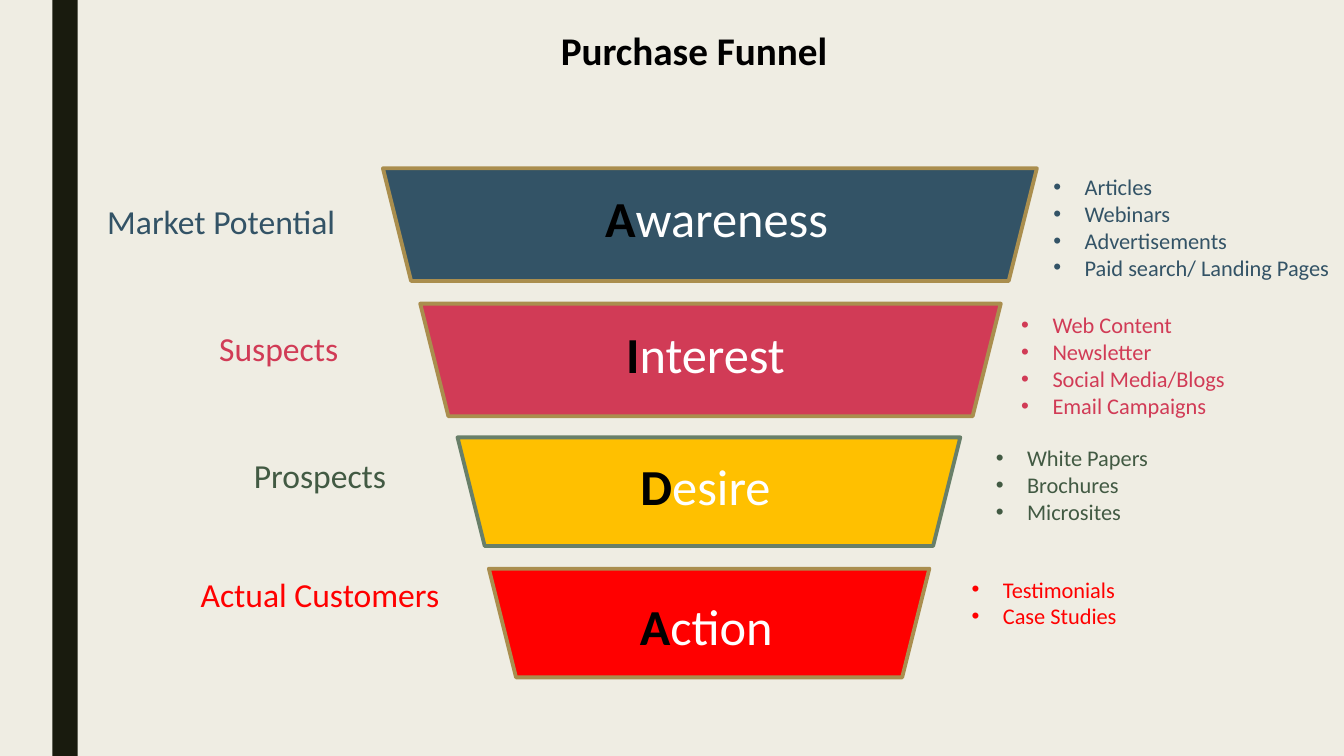
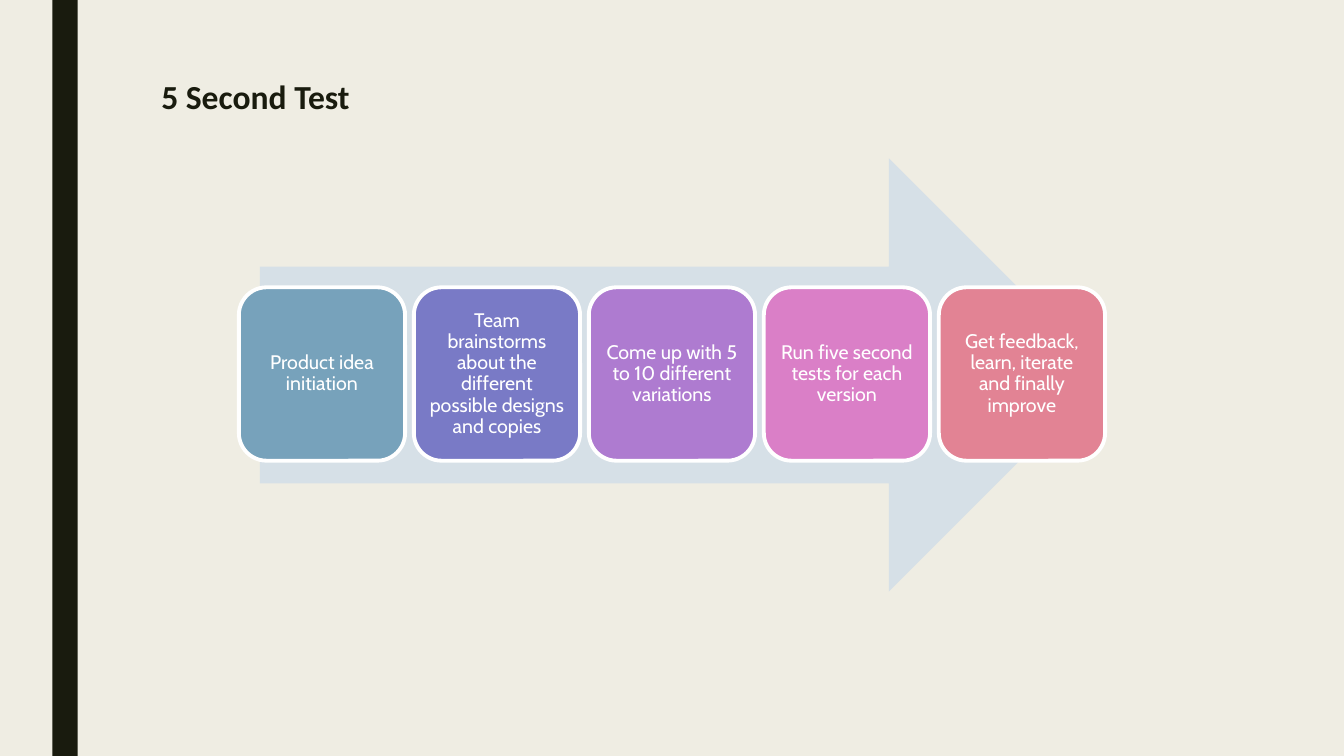
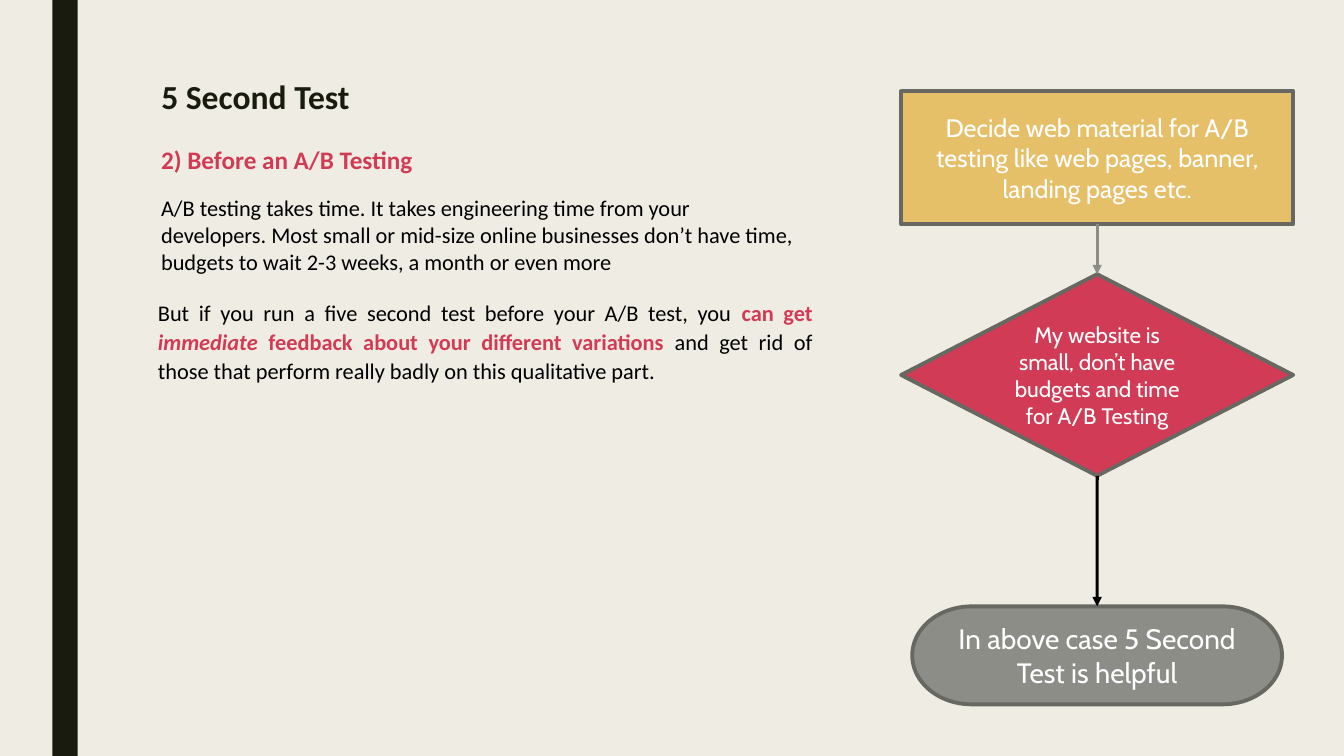
from lxml.etree import SubElement
from pptx import Presentation
from pptx.dml.color import RGBColor
from pptx.enum.shapes import MSO_CONNECTOR, MSO_SHAPE
from pptx.enum.text import MSO_ANCHOR, MSO_AUTO_SIZE, PP_ALIGN
from pptx.oxml.ns import qn
from pptx.util import Cm, Pt

WIDE, HIGH = 33.87, 19.05
PAPER, INK, BLACK, WHITE = "EFEDE3", "191B0E", "000000", "FFFFFF"
NAVY, ROSE, AMBER, RED = "335366", "D13B56", "FFC000", "FF0000"
GREEN, GOLD, SAGE = "425A43", "AA8E4E", "687F69"
SAND, GREY, SLATE, PALE = "E6C069", "8C8D86", "686863", "D6E0E7"
TITLE_ONLY, FOUR_PARTS = 5, 4


def tint(code):
    return RGBColor.from_string(code)


def place(shape, box):
    shape.left, shape.top, shape.width, shape.height = map(Cm, box)


class Deck:
    main, soft = "Calibri", "Cabin"
    edge = 2.75

    def __init__(self):
        self.prs = Presentation()
        self.prs.slide_width, self.prs.slide_height = Cm(WIDE), Cm(HIGH)
        back = self.prs.slide_master.background.fill
        back.solid()
        back.fore_color.rgb = tint(PAPER)

    def page(self, layout, title, box, size, color, align=PP_ALIGN.LEFT):
        self.slide = self.prs.slides.add_slide(self.prs.slide_layouts[layout])
        self.shape(MSO_SHAPE.RECTANGLE, (1.32, 0, 0.64, HIGH), INK)
        head = self.slide.shapes.title
        place(head, box)
        self.text(head, [[(title, color, "b")]], size, align, space=0.89)

    def text(self, shape, paras, size, align=PP_ALIGN.LEFT, font=main,
             anchor=MSO_ANCHOR.TOP, space=1.0, bullet=False):
        """Fill a shape; each paragraph is a list of (text, colour, style) runs."""
        frame = shape.text_frame
        frame.word_wrap = True
        frame.auto_size = MSO_AUTO_SIZE.NONE
        frame.vertical_anchor = anchor
        for i, runs in enumerate(paras):
            para = frame.add_paragraph() if i else frame.paragraphs[0]
            if bullet:
                self.dot(para)
            para.alignment = align
            para.line_spacing = space
            para.space_before = para.space_after = Pt(0)
            for words, color, style in runs:
                run = para.add_run()
                run.text = words
                run.font.name, run.font.size = font, Pt(size)
                run.font.bold, run.font.italic = "b" in style, "i" in style
                run.font.color.rgb = tint(color)

    def dot(self, para):
        props = para._p.get_or_add_pPr()
        props.set("marL", str(Cm(0.79)))
        props.set("indent", str(Cm(-0.79)))
        SubElement(props, qn("a:buFont"), typeface="Arial")
        SubElement(props, qn("a:buChar"), char="•")

    def label(self, box, paras, size, **style):
        shape = self.slide.shapes.add_textbox(*map(Cm, box))
        self.text(shape, paras, size, **style)

    def points(self, holder, box, items, color):
        place(holder, box)
        self.text(holder, [[(item, color, "")] for item in items], 16, bullet=True)

    def shape(self, kind, box, fill, line=None):
        shape = self.slide.shapes.add_shape(kind, *map(Cm, box))
        shape.shadow.inherit = False
        shape.fill.solid()
        shape.fill.fore_color.rgb = tint(fill)
        if line:
            shape.line.color.rgb = tint(line)
            shape.line.width = Pt(self.edge)
        else:
            shape.line.fill.background()
        return shape

    def block(self, kind, box, fill, line, words, size, space=1.0):
        shape = self.shape(kind, box, fill, line)
        self.text(shape, [[(words, WHITE, "")]], size, PP_ALIGN.CENTER,
                  self.soft, MSO_ANCHOR.MIDDLE, space)
        return shape

    def arrow(self, start, end, color):
        """Join the bottom of one shape to the top of the next."""
        link = self.slide.shapes.add_connector(MSO_CONNECTOR.STRAIGHT, 0, 0, 0, 0)
        link.begin_connect(start, 2)
        link.end_connect(end, 0)
        link.line.color.rgb = tint(color)
        link.line.width = Pt(2.25)
        props = link._element.spPr
        SubElement(props.find(qn("a:ln")), qn("a:tailEnd"), type="triangle")
        SubElement(props, qn("a:effectLst"))


def funnel(deck):
    deck.page(FOUR_PARTS, "Purchase Funnel", (9.25, 0.69, 16.48, 1.45), 28,
              BLACK, PP_ALIGN.CENTER)
    # tier box, fill, edge, word and its place, label and its place, list and its place
    tiers = [
        ((9.65, 4.24, 16.48, 2.84), NAVY, GOLD, "Awareness", (10.62, 4.6),
         "Market Potential", (0.71, 4.95), NAVY, (26.29, 4.24),
         ["Articles", "Webinars", "Advertisements", "Paid search/ Landing Pages"]),
        ((10.59, 7.65, 14.63, 2.84), ROSE, GOLD, "Interest", (10.34, 8.03),
         "Suspects", (2.16, 8.15), ROSE, (25.48, 7.72),
         ["Web Content", "Newsletter", "Social Media/Blogs", "Email Campaigns"]),
        ((11.53, 11.02, 12.67, 2.74), AMBER, SAGE, "Desire", (10.34, 11.35),
         "Prospects", (3.2, 11.33), GREEN, (24.84, 11.07),
         ["White Papers", "Brochures", "Microsites"]),
        ((12.32, 14.33, 11.1, 2.74), RED, GOLD, "Action", (10.36, 14.88),
         "Actual Customers", (3.2, 14.33), RED, (24.23, 14.38),
         ["Testimonials", "Case Studies"]),
    ]
    holders = list(deck.slide.placeholders)[1:]
    for holder, tier in zip(holders, tiers):
        box, fill, edge, word, spot, group, side, color, corner, items = tier
        deck.shape(MSO_SHAPE.TRAPEZOID, box, fill, edge).rotation = 180
        deck.label((*spot, 14.88, 1.8), [[(word[0], BLACK, "b"), (word[1:], WHITE, "")]],
                   36, align=PP_ALIGN.CENTER)
        deck.label((*side, 9.73, 1.27), [[(group, color, "")]], 24,
                   align=PP_ALIGN.CENTER)
        deck.points(holder, (*corner, 7.55, 0.25 + 0.69 * len(items)), items, color)


def test_page(deck):
    deck.page(TITLE_ONLY, "5 Second Test", (3.81, 1.9, 26.67, 2.08), 24, INK)


def steps(deck):
    test_page(deck)
    deck.shape(MSO_SHAPE.RIGHT_ARROW, (6.55, 3.99, 21.31, 10.92), PALE)
    stages = [
        ("Product idea initiation", "77A2BB"),
        ("Team brainstorms about the different possible designs and copies", "797AC6"),
        ("Come up with 5 to 10 different variations", "AE7BD0"),
        ("Run five second tests for each version", "DA7FC7"),
        ("Get feedback, learn, iterate and finally improve", "E28394"),
    ]
    for i, (words, fill) in enumerate(stages):
        card = deck.block(MSO_SHAPE.ROUNDED_RECTANGLE, (6.02 + 4.41 * i, 7.24, 4.19, 4.37),
                          fill, WHITE, words, 14, 0.9)
        frame = card.text_frame
        frame.margin_left = frame.margin_right = Cm(0.15)
        frame.margin_top = frame.margin_bottom = Cm(0.15)


def advice(deck):
    test_page(deck)
    deck.label((3.81, 3.45, 16.6, 1.04), [[("2) Before an A/B Testing", ROSE, "b")]],
               18, space=1.07)
    deck.label((3.81, 4.78, 16.6, 2.31), [[(
        "A/B testing takes time. It takes engineering time from your developers. "
        "Most small or mid-size online businesses don’t have time, budgets to wait "
        "2-3 weeks, a month or even more", BLACK, "")]], 16)
    deck.label((3.73, 7.37, 17, 2.41), [[
        ("But if you run a five second test before your A/B test, you ", BLACK, ""),
        ("can get ", ROSE, "b"),
        ("immediate", ROSE, "bi"),
        (" feedback about your different variations ", ROSE, "b"),
        ("and get rid of those that perform really badly on this qualitative part.",
         BLACK, "")]], 16, align=PP_ALIGN.JUSTIFY, space=1.07)

    first = deck.block(
        MSO_SHAPE.FLOWCHART_PROCESS, (22.71, 2.3, 9.88, 3.35), SAND, SLATE,
        "Decide web material for A/B testing like web pages, banner, landing pages etc.", 18)
    check = deck.block(
        MSO_SHAPE.FLOWCHART_DECISION, (22.71, 6.91, 9.88, 5.08), ROSE, SLATE,
        "My website is small, don’t have budgets and time for A/B Testing", 16)
    last = deck.block(
        MSO_SHAPE.FLOWCHART_TERMINATOR, (22.99, 15.28, 9.32, 2.47), GREY, SLATE,
        "In above case 5 Second Test is helpful", 20)
    deck.arrow(first, check, GREY)
    deck.arrow(check, last, BLACK)


def main():
    deck = Deck()
    funnel(deck)
    steps(deck)
    advice(deck)
    deck.prs.save("out.pptx")


if __name__ == "__main__":
    main()
